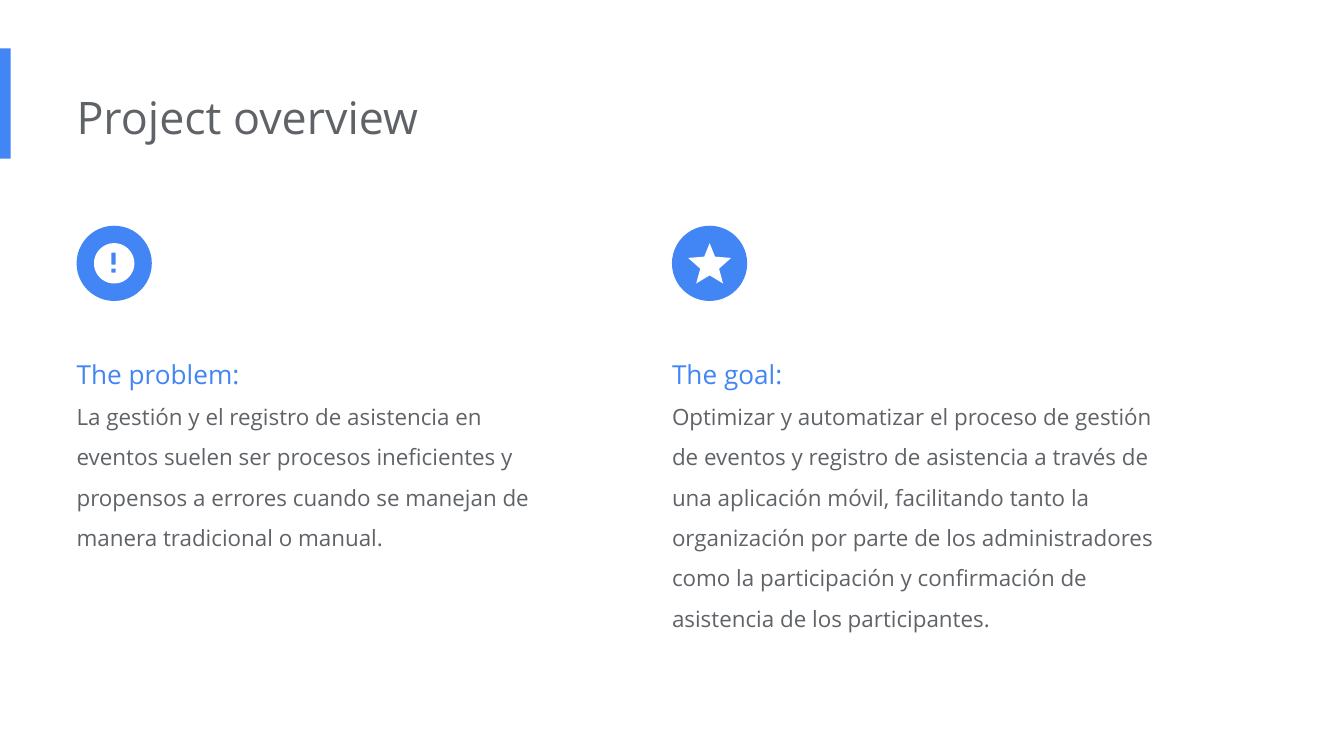
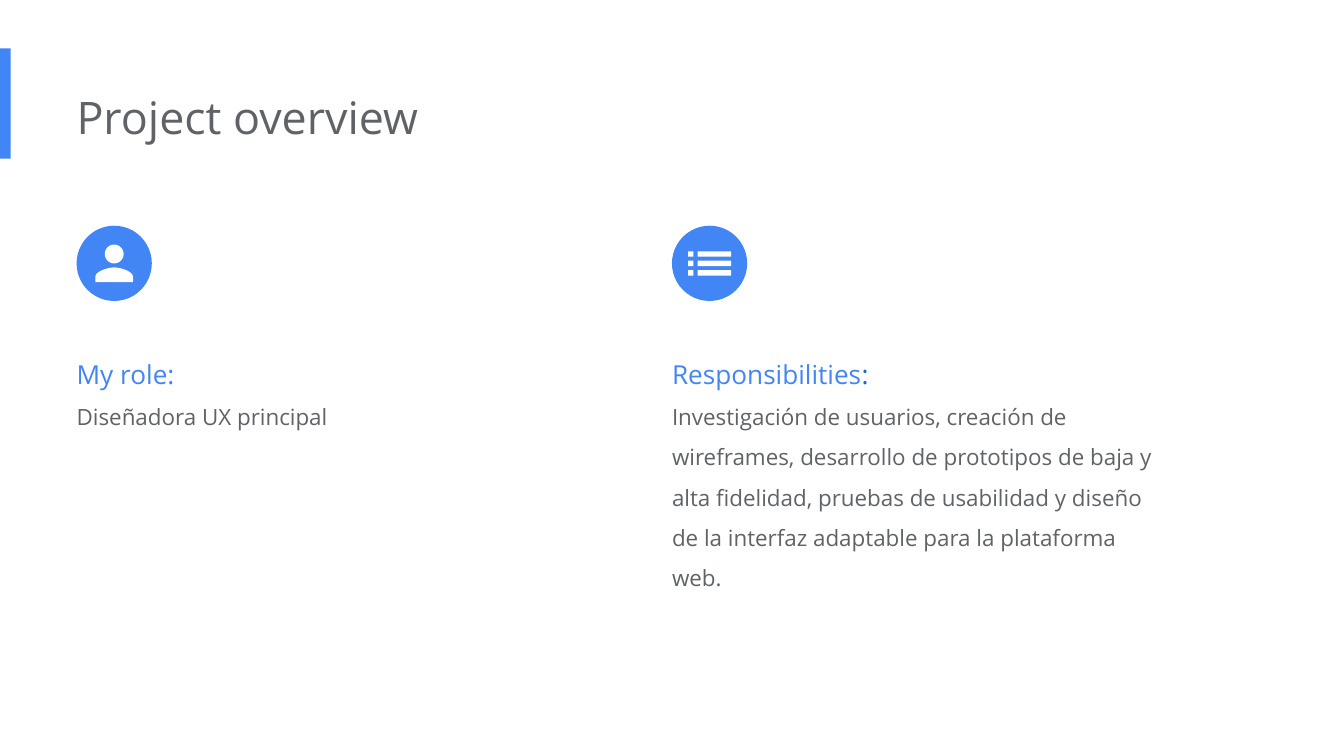
from dataclasses import dataclass
from math import cos, pi, sin

from pptx import Presentation
from pptx.dml.color import RGBColor as Rgb
from pptx.enum.shapes import MSO_SHAPE as Shape
from pptx.enum.text import MSO_AUTO_SIZE as Fit
from pptx.util import Inches, Pt

BLUE, NAVY, GRAY, WHITE = "4285F4", "1967D2", "5F6368", "FFFFFF"
FONT = "Open Sans"
LEFT, RIGHT = 0.57, 5.0
DISC_TOP, DISC = 1.68, 0.56

Point = tuple[float, float]
Path = list[Point]


@dataclass
class Topic:
    left: float
    high: float
    icon: list[Path]
    head: str
    body: list[str]
    colon: str = BLUE


# Icon outlines, in inches from the centre of the disc
def box(x: float, y: float, wide: float, high: float) -> Path:
    return [(x, y), (x + wide, y), (x + wide, y + high), (x, y + high)]


def ring(x: float, y: float, rad: float, count: int = 72) -> Path:
    turns = [2 * pi * i / count for i in range(count)]
    return [(x + rad * cos(t), y + rad * sin(t)) for t in turns]


def curve(a: Point, b: Point, c: Point, d: Point, count: int = 16) -> Path:
    def at(t: float, axis: int) -> float:
        s = 1 - t
        return (s**3 * a[axis] + 3 * s * s * t * b[axis]
                + 3 * s * t * t * c[axis] + t**3 * d[axis])

    return [(at(i / count, 0), at(i / count, 1)) for i in range(count + 1)]


def mirror(half: Path) -> Path:
    return half + [(-x, y) for x, y in reversed(half)]


ALERT = [ring(0, 0, 0.15), box(-0.02, -0.08, 0.03, 0.09), box(-0.02, 0.04, 0.03, 0.03)]
STAR = [mirror([(0, -0.15), (0.04, -0.05), (0.16, -0.04),
                (0.07, 0.04), (0.1, 0.15), (0, 0.09)])]
PERSON = [ring(0, -0.07, 0.07),
          mirror(curve((0, 0.03), (0.05, 0.03), (0.14, 0.06), (0.14, 0.1)) + [(0.14, 0.14)])]
LIST = [box(x, -0.09 + 0.07 * row, wide, 0.04)
        for row in range(3) for x, wide in ((-0.16, 0.04), (-0.09, 0.25))]

SLIDES = [
    [
        Topic(LEFT, 1.67, ALERT, "The problem", [
            "La gestión y el registro de asistencia en eventos suelen ser procesos "
            "ineficientes y propensos a errores cuando se manejan de manera "
            "tradicional o manual."]),
        Topic(RIGHT, 2.27, STAR, "The goal", [
            "Optimizar y automatizar el proceso de gestión de eventos y registro de "
            "asistencia a través de una aplicación móvil, facilitando tanto la "
            "organización por parte de los administradores como la participación y "
            "confirmación de asistencia de los participantes."]),
    ],
    [
        Topic(LEFT, 0.76, PERSON, "My role", ["Diseñadora UX principal"]),
        Topic(RIGHT, 1.97, LIST, "Responsibilities", [
            "Investigación de usuarios, creación de wireframes, desarrollo de "
            "prototipos de baja y",
            "alta fidelidad, pruebas de usabilidad y diseño de la interfaz adaptable "
            "para la plataforma web."], NAVY),
    ],
]


# Drawing helpers
def color(code: str) -> Rgb:
    return Rgb.from_string(code)


def paint(shape, code: str) -> None:
    shape.shadow.inherit = False
    shape.fill.solid()
    shape.fill.fore_color.rgb = color(code)
    shape.line.fill.background()


def add_solid(slide, kind: Shape, x: float, y: float, wide: float, high: float) -> None:
    paint(slide.shapes.add_shape(kind, Inches(x), Inches(y), Inches(wide), Inches(high)), BLUE)


def add_icon(slide, x: float, y: float, paths: list[Path]) -> None:
    pen = None
    for path in paths:
        pts = [(Inches(x + dx), Inches(y + dy)) for dx, dy in path]
        if pen is None:
            pen = slide.shapes.build_freeform(*pts[0])
        else:
            pen.move_to(*pts[0])
        pen.add_line_segments(pts[1:], close=True)
    paint(pen.convert_to_shape(), WHITE)


def style(run, size: int, code: str) -> None:
    run.font.name = FONT
    run.font.size = Pt(size)
    run.font.color.rgb = color(code)


def add_text(slide, x: float, y: float, wide: float, high: float, text: str):
    frame = slide.shapes.add_textbox(Inches(x), Inches(y), Inches(wide), Inches(high)).text_frame
    frame.word_wrap = True
    frame.auto_size = Fit.SHAPE_TO_FIT_TEXT
    frame.margin_left = 0
    frame.margin_top = frame.margin_right = frame.margin_bottom = Inches(0.1)
    frame.text = text
    return frame


def add_topic(slide, topic: Topic) -> None:
    add_solid(slide, Shape.OVAL, topic.left, DISC_TOP, DISC, DISC)
    add_icon(slide, topic.left + DISC / 2, DISC_TOP + DISC / 2, topic.icon)
    ends = topic.colon == BLUE
    head_text = topic.head + ":" if ends else topic.head
    frame = add_text(slide, topic.left, 2.45, 3.75, topic.high,
                     "\n".join([head_text, *topic.body]))
    head, *body = frame.paragraphs
    style(head.runs[0], 14, BLUE)
    if not ends:
        colon = head.add_run()
        colon.text = ":"
        style(colon, 14, topic.colon)
    for para in body:
        style(para.runs[0], 12, GRAY)
    for para in frame.paragraphs:
        para.line_spacing = 1.5


def main() -> None:
    deck = Presentation()
    deck.slide_width = Inches(10)
    deck.slide_height = deck.slide_width * 9 // 16
    for topics in SLIDES:
        slide = deck.slides.add_slide(deck.slide_layouts[6])
        # Side band and title
        add_solid(slide, Shape.RECTANGLE, 0, 0.36, 0.08, 0.82)
        title = add_text(slide, LEFT, 0.57, 6.73, 0.61, "Project overview")
        style(title.paragraphs[0].runs[0], 24, GRAY)
        # Two columns
        for topic in topics:
            add_topic(slide, topic)
    deck.save("out.pptx")


if __name__ == "__main__":
    main()
